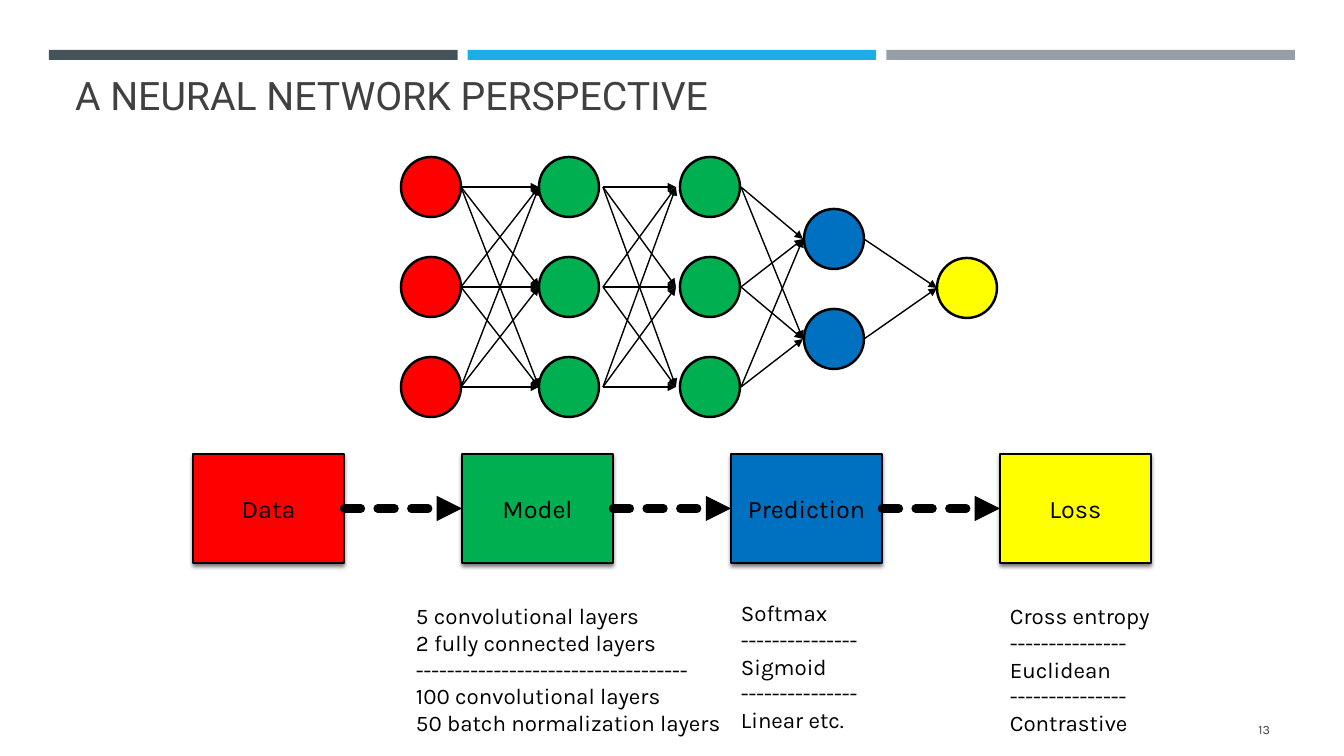
import itertools

import lxml.etree
import pptx
import pptx.dml.color
import pptx.enum.dml
import pptx.enum.shapes
import pptx.enum.text
import pptx.oxml.ns
import pptx.util

COLORS = {
    "slate": "465359", "sky": "1CADE4", "gray": "969FA7", "ink": "404040",
    "black": "000000", "red": "FF0000", "green": "00B050",
    "blue": "0070C0", "yellow": "FFFF00",
}
SHAPE = pptx.enum.shapes.MSO_SHAPE
ALIGN = pptx.enum.text.PP_ALIGN
ANCHOR = pptx.enum.text.MSO_ANCHOR
NODE_SIZE = 60

# Centre x, centre y of each node, colour, gap from centre to arrow ends
LAYERS = [
    (431, (187, 287, 387), "red", 30),
    (569, (187, 287, 387), "green", 34),
    (710, (187, 287, 387), "green", 31),
    (834, (239, 339), "blue", 30),
    (967, (288,), "yellow", 30),
]
STAGES = [("Data", "red"), ("Model", "green"), ("Prediction", "blue"), ("Loss", "yellow")]
EXAMPLES = [
    ((406, 597, 330, 146), ["5 convolutional layers", "2 fully connected layers", "-" * 35,
                            "100 convolutional layers", "50 batch normalization layers"]),
    ((731, 594, 151, 146), ["Softmax", "-" * 15, "Sigmoid", "-" * 15, "Linear etc."]),
    ((1000, 597, 219, 146), ["Cross entropy", "-" * 15, "Euclidean", "-" * 15, "Contrastive"]),
]


def px(length):
    return pptx.util.Emu(round(length * 914400 / 100.8))


def rgb(name):
    return pptx.dml.color.RGBColor.from_string(COLORS[name])


def add_xml(parent, tag, **attributes):
    element = lxml.etree.SubElement(parent, pptx.oxml.ns.qn(tag))
    for name, value in attributes.items():
        element.set(name, str(value))
    return element


def format_text(frame, size, color="black", font="Karla", align=ALIGN.LEFT, anchor=ANCHOR.TOP):
    settings = {"word_wrap": True, "auto_size": pptx.enum.text.MSO_AUTO_SIZE.NONE,
                "vertical_anchor": anchor}
    for name, value in settings.items():
        setattr(frame, name, value)
    for para in frame.paragraphs:
        para.alignment = align
        for name, value in {"name": font, "size": pptx.util.Pt(size)}.items():
            setattr(para.font, name, value)
        para.font.color.rgb = rgb(color)


def add_filled(shapes, kind, box, fill, line_width=0):
    shape = shapes.add_shape(kind, *map(px, box))
    shape.shadow.inherit = False
    shape.fill.solid()
    shape.fill.fore_color.rgb = rgb(fill)
    if line_width:
        shape.line.color.rgb = rgb("black")
        shape.line.width = pptx.util.Pt(line_width)
    else:
        shape.line.fill.background()
    return shape


def add_arrow(shapes, start, end, width, dashed=False):
    arrow = shapes.add_connector(pptx.enum.shapes.MSO_CONNECTOR.STRAIGHT,
                                 *map(px, start + end))
    arrow.line.color.rgb = rgb("black")
    arrow.line.width = pptx.util.Pt(width)
    outline = arrow.line._get_or_add_ln()
    if dashed:
        arrow.line.dash_style = pptx.enum.dml.MSO_LINE.SQUARE_DOT
        outline.set("cap", "rnd")
    add_xml(outline, "a:tailEnd", type="triangle")
    add_xml(arrow._element.spPr, "a:effectLst")


def add_header(page, box):
    left, top, width, height = box
    gap = 10
    bar_width = (width - 2 * gap) / 3
    for index, color in enumerate(("slate", "sky", "gray")):
        add_filled(page.shapes, SHAPE.RECTANGLE,
                   (left + index * (bar_width + gap), top, bar_width, height), color)


def add_title(page, box, text):
    title = page.shapes.title
    for name, length in zip(("left", "top", "width", "height"), box):
        setattr(title, name, px(length))
    title.text_frame.text = text
    format_text(title.text_frame, 28, "ink", "Roboto", anchor=ANCHOR.BOTTOM)


def add_network(page, origin):
    """Draw the layers and link every node to each node of the next layer."""
    left, top = origin
    shapes = page.shapes.add_group_shape().shapes
    radius = NODE_SIZE / 2
    for x, rows, color, _ in LAYERS:
        for y in rows:
            add_filled(shapes, SHAPE.OVAL, (left + x - radius, top + y - radius,
                                            NODE_SIZE, NODE_SIZE), color, 1.75)
    for (x, rows, _, gap), (next_x, next_rows, _, next_gap) in zip(LAYERS, LAYERS[1:]):
        for y, next_y in itertools.product(rows, next_rows):
            # Arrows leaving the second layer stop short of the third by the same gap
            add_arrow(shapes, (left + x + gap, top + y),
                      (left + next_x - min(gap, 34), top + next_y), 1)


def add_pipeline(page, box):
    left, top, width, height = box
    stage_width = 151
    pitch = (width - stage_width) / (len(STAGES) - 1)
    middle = top + height / 2
    for index, (label, color) in enumerate(STAGES):
        x = left + index * pitch
        stage = add_filled(page.shapes, SHAPE.RECTANGLE, (x, top, stage_width, height), color, 1)
        stage.text_frame.text = label
        format_text(stage.text_frame, 18, align=ALIGN.CENTER, anchor=ANCHOR.MIDDLE)
        effects = stage._element.spPr.find(pptx.oxml.ns.qn("a:effectLst"))
        shadow = add_xml(effects, "a:outerShdw", blurRad=38100, dist=25400,
                         dir=5400000, rotWithShape=0)
        shade = add_xml(shadow, "a:srgbClr", val=COLORS["black"])
        add_xml(shade, "a:alpha", val=55000)
    for index in range(len(STAGES) - 1):
        x = left + index * pitch
        add_arrow(page.shapes, (x + stage_width, middle), (x + pitch, middle), 6, dashed=True)


def add_examples(page, box, lines):
    frame = page.shapes.add_textbox(*map(px, box)).text_frame
    frame.text = "\n".join(lines)
    format_text(frame, 16)


def add_page_number(page, box, number):
    frame = page.shapes.add_textbox(*map(px, box)).text_frame
    para = frame.paragraphs[0]
    field = add_xml(para._p, "a:fld", id="{B6F15528-21DE-4FAA-801E-634DDDAF4B2B}",
                    type="slidenum")
    style = add_xml(field, "a:rPr", lang="en-US", sz=900)
    fill = add_xml(style, "a:solidFill")
    add_xml(fill, "a:srgbClr", val=COLORS["ink"])
    add_xml(style, "a:latin", typeface="Karla")
    add_xml(field, "a:t").text = str(number)
    para.alignment = ALIGN.RIGHT
    frame.vertical_anchor = ANCHOR.MIDDLE


def main():
    deck = pptx.Presentation()
    deck.slide_width, deck.slide_height = px(1344), px(756)
    deck.element.set("firstSlideNum", "13")
    page = deck.slides.add_slide(deck.slide_layouts.get_by_name("Title Only"))
    add_header(page, (49, 50, 1246, 10))
    add_title(page, (65, -8, 1216, 131), "A NEURAL NETWORK PERSPECTIVE")
    add_pipeline(page, (193, 454, 958, 109))
    for box, lines in EXAMPLES:
        add_examples(page, box, lines)
    add_network(page, (0, 0))
    add_page_number(page, (1164, 709, 116, 40), 13)
    deck.save("out.pptx")


if __name__ == "__main__":
    main()
